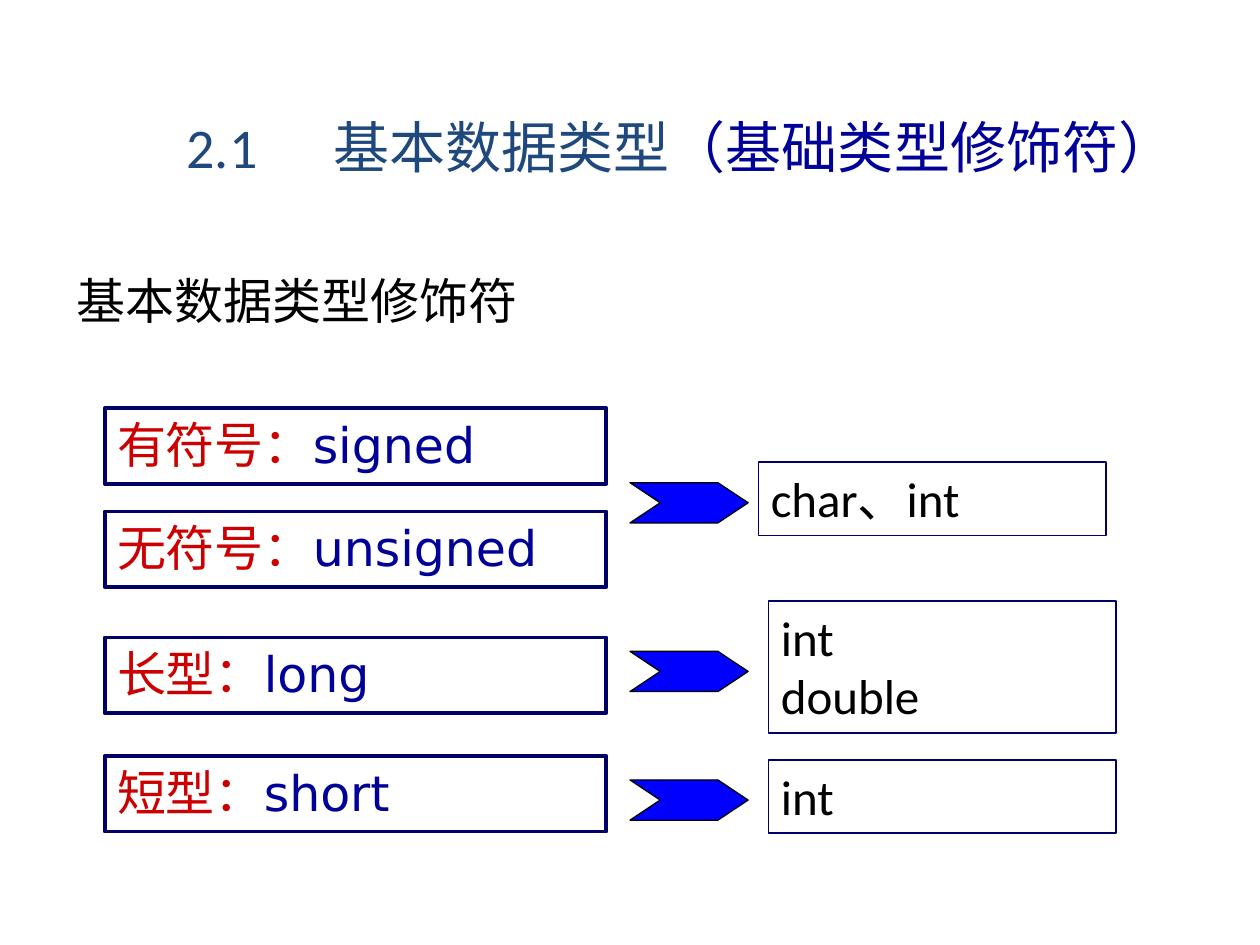
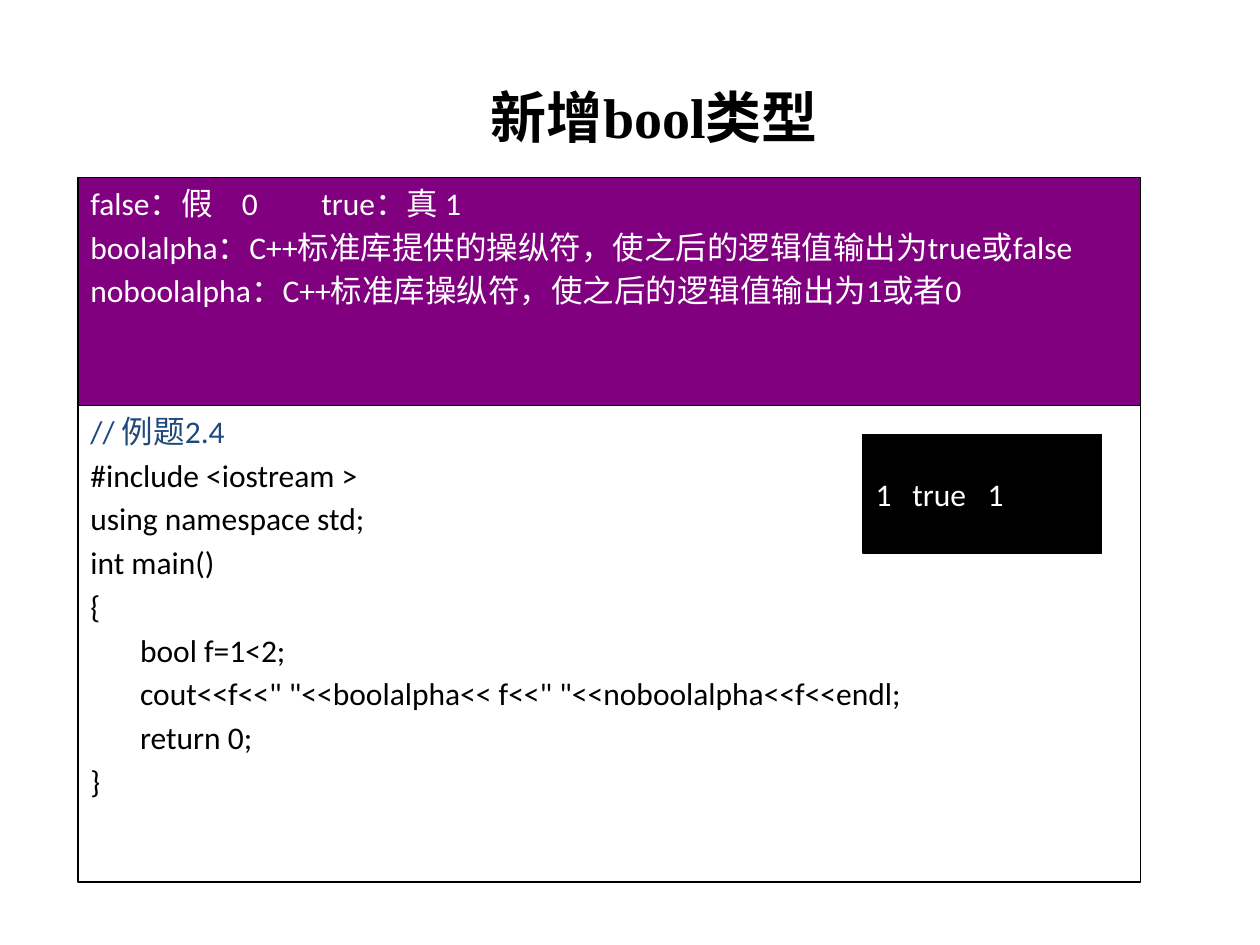
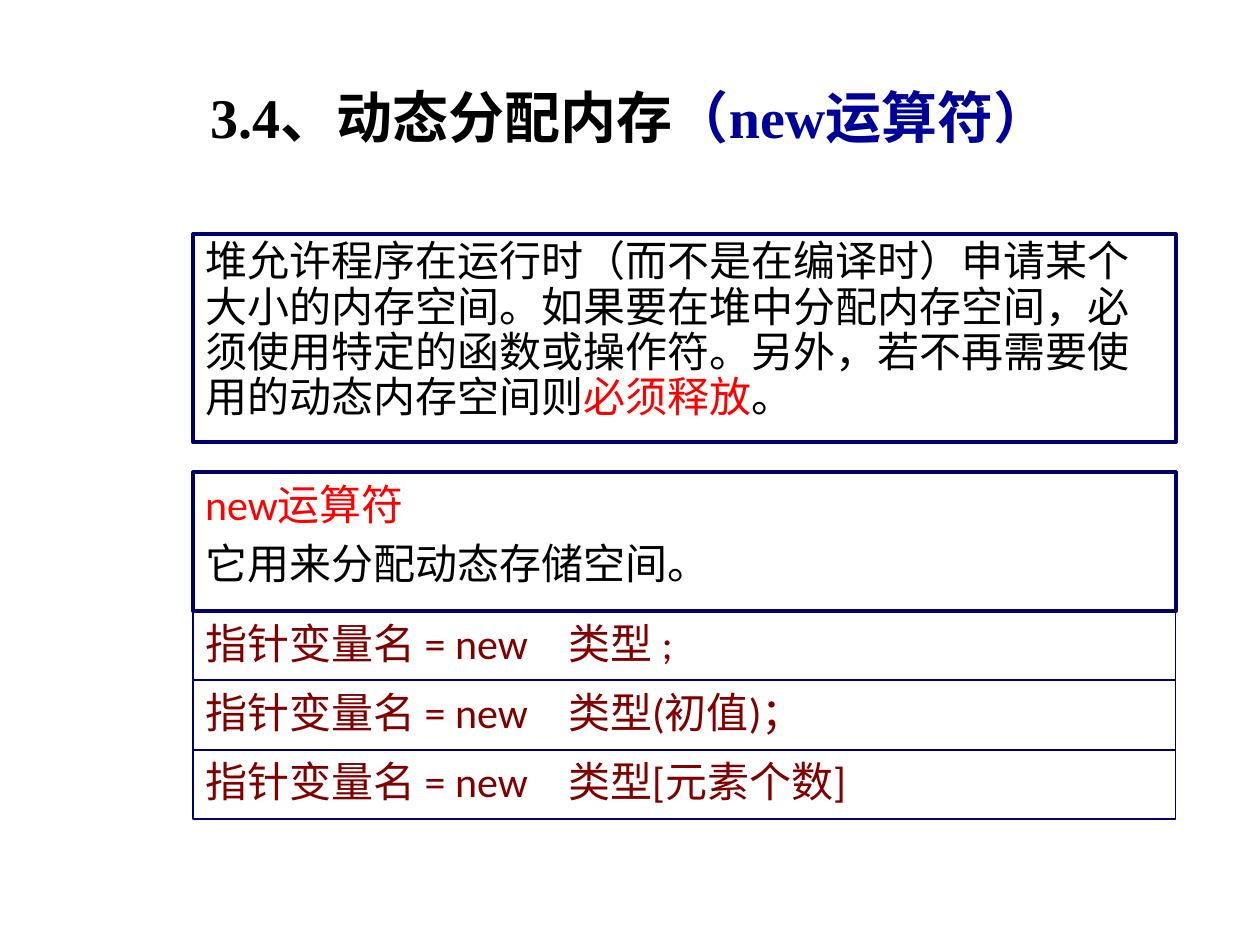
import pptx
import pptx.dml.color
import pptx.enum.lang
import pptx.enum.shapes
import pptx.enum.text
import pptx.oxml
import pptx.oxml.ns
import pptx.util

Pt = pptx.util.Pt
SHAPE = pptx.enum.shapes.MSO_SHAPE
ALIGN = pptx.enum.text.PP_ALIGN
ANCHOR = pptx.enum.text.MSO_ANCHOR
CHINESE = pptx.enum.lang.MSO_LANGUAGE_ID.SIMPLIFIED_CHINESE

BLACK, WHITE, RED = "000000", "FFFFFF", "FF0000"
NAVY, BLUE, SLATE = "000066", "000099", "1F497D"
CRIMSON, MAROON, PURPLE, ARROW_BLUE = "CC0000", "800000", "800080", "0000FF"
BODY, LABEL, HEADING = "Calibri", "DejaVu Sans", "Times New Roman"
TITLE_SIZE = 32
TITLE_AREA = (36, 21.6, 648, 90)
THICK, THIN, HAIRLINE = 2.25, 1, 0.75


def colour(code):
    return pptx.dml.color.RGBColor.from_string(code)


def add_tabs(para, stops):
    tab_list = pptx.oxml.parse_xml(f"<a:tabLst {pptx.oxml.ns.nsdecls('a')}/>")
    for stop in stops:
        tab = tab_list.makeelement(pptx.oxml.ns.qn("a:tab"),
                                   {"pos": str(Pt(stop)), "algn": "l"})
        tab_list.append(tab)
    para._p.get_or_add_pPr().append(tab_list)


def write(box, paras, size, font=BODY, bold=False, gap=0, tabs=(),
          align=ALIGN.LEFT, anchor=ANCHOR.TOP, line_spacing=None):
    """Fill box with paragraphs, each a list of (text, colour) spans."""
    frame = box.text_frame
    frame.word_wrap = True
    frame.auto_size = pptx.enum.text.MSO_AUTO_SIZE.NONE
    frame.vertical_anchor = anchor
    for index, spans in enumerate(paras):
        para = frame.add_paragraph() if index else frame.paragraphs[0]
        if tabs:
            add_tabs(para, tabs)
        para.alignment = align
        para.space_before = Pt(gap if index else 0)
        if line_spacing:
            para.line_spacing = line_spacing
        for text, code in spans:
            span = para.add_run()
            span.text = text
            span.font.name = font
            span.font.size = Pt(size)
            span.font.bold = bold
            span.font.color.rgb = colour(code)
            span.font.language_id = CHINESE


def add_page(deck, spans, area=TITLE_AREA, **style):
    page = deck.slides.add_slide(deck.slide_layouts.get_by_name("Title Only"))
    title = page.shapes.title
    title.left, title.top, title.width, title.height = map(Pt, area)
    write(title, [spans], TITLE_SIZE, **style)
    return page


def add_shape(page, kind, area, fill, line, weight):
    shape = page.shapes.add_shape(kind, *map(Pt, area))
    shape.shadow.inherit = False
    if fill:
        shape.fill.solid()
        shape.fill.fore_color.rgb = colour(fill)
    else:
        shape.fill.background()
    shape.line.color.rgb = colour(line)
    shape.line.width = Pt(weight)
    return shape


def add_panel(page, area, paras, size, fill=None, line=NAVY, weight=THIN, **style):
    panel = add_shape(page, SHAPE.RECTANGLE, area, fill, line, weight)
    write(panel, paras, size, **style)


def add_arrow(page, top):
    arrow = add_shape(page, SHAPE.CHEVRON, (360, top, 67.5, 23),
                      ARROW_BLUE, BLACK, HAIRLINE)
    arrow.adjustments[0] = 0.75


def build_modifiers(deck):
    page = add_page(deck, [("2.1\t基本数据类型", SLATE), ("（基础类型修饰符）", BLUE)],
                    (99.4, 60.5, 589.7, 45.4), tabs=[84])
    heading = page.shapes.add_textbox(*map(Pt, (36.7, 151.2, 334.8, 41)))
    write(heading, [[("基本数据类型修饰符", BLACK)]], 28, LABEL)

    modifiers = [("有符号：", "signed", 233.3), ("无符号：", "unsigned", 292.3),
                 ("长型：", "long", 364.3), ("短型：", "short", 432)]
    for name, keyword, top in modifiers:
        add_panel(page, (59.8, top, 286.6, 43.2), [[(name, CRIMSON), (keyword, BLUE)]],
                  28, WHITE, weight=THICK, font=LABEL)

    targets = [(["char、int"], 433.4, 264.2, 41.8, 275.8),
               (["int", "double"], 439.2, 343.4, 75.6, 372.2),
               (["int"], 439.2, 434.2, 41.8, 445.7)]
    for types, left, top, height, arrow_top in targets:
        add_arrow(page, arrow_top)
        add_panel(page, (left, top, 198.7, height), [[(name, BLACK)] for name in types],
                  28, WHITE)


def build_bool(deck):
    page = add_page(deck, [("新增bool类型", BLACK)], (60, 21.6, 628, 90), font=HEADING,
                    bold=True, align=ALIGN.CENTER, anchor=ANCHOR.MIDDLE)
    notes = ["false：假\t0\ttrue：真 1",
             "boolalpha：C++标准库提供的操纵符，使之后的逻辑值输出为true或false",
             "noboolalpha：C++标准库操纵符，使之后的逻辑值输出为1或者0"]
    code = ["#include <iostream >",
            "using namespace std;",
            "int main()",
            "{",
            "       bool f=1<2;",
            '       cout<<f<<" "<<boolalpha<< f<<" "<<noboolalpha<<f<<endl;',
            "       return 0;",
            "}"]
    frame = {"size": 18, "line": BLACK, "weight": HAIRLINE, "gap": 3.4}
    add_panel(page, (44.6, 101.5, 607, 130.3), [[(note, WHITE)] for note in notes],
              fill=PURPLE, tabs=[86.5, 132], **frame)
    add_panel(page, (44.6, 231.8, 607, 272.2),
              [[("// 例题2.4", SLATE)]] + [[(row, BLACK)] for row in code],
              fill=WHITE, **frame)
    add_panel(page, (493.2, 248.4, 136.1, 67.7), [[("1\ttrue\t1", WHITE)]],
              fill=BLACK, tabs=[21, 64], anchor=ANCHOR.MIDDLE, **frame)


def build_new_operator(deck):
    page = add_page(deck, [("3.4、动态分配内存", BLACK), ("（new运算符）", BLUE)],
                    font=HEADING, bold=True, align=ALIGN.CENTER, anchor=ANCHOR.MIDDLE)
    left, width = 110.2, 561.6
    heap = [("堆允许程序在运行时（而不是在编译时）申请某个大小的内存空间。"
             "如果要在堆中分配内存空间，必须使用特定的函数或操作符。"
             "另外，若不再需要使用的动态内存空间则", BLACK),
            ("必须释放", RED), ("。", BLACK)]
    add_panel(page, (left, 133.9, width, 118.8), [heap], 24, weight=THICK,
              line_spacing=0.9)
    add_panel(page, (left, 270, width, 79.2),
              [[("new运算符", RED)], [("它用来分配动态存储空间。", BLACK)]],
              24, weight=THICK, gap=4.8)

    row_height = 39.6
    for index, ending in enumerate([" ;", "(初值)；", "[元素个数]"]):
        add_panel(page, (left, 349.2 + index * row_height, width, row_height),
                  [[("指针变量名 = new\t类型" + ending, MAROON)]], 24, tabs=[207.4])


def main():
    deck = pptx.Presentation()
    deck.slide_width, deck.slide_height = Pt(720), Pt(540)
    build_modifiers(deck)
    build_bool(deck)
    build_new_operator(deck)
    deck.save("out.pptx")


if __name__ == "__main__":
    main()
